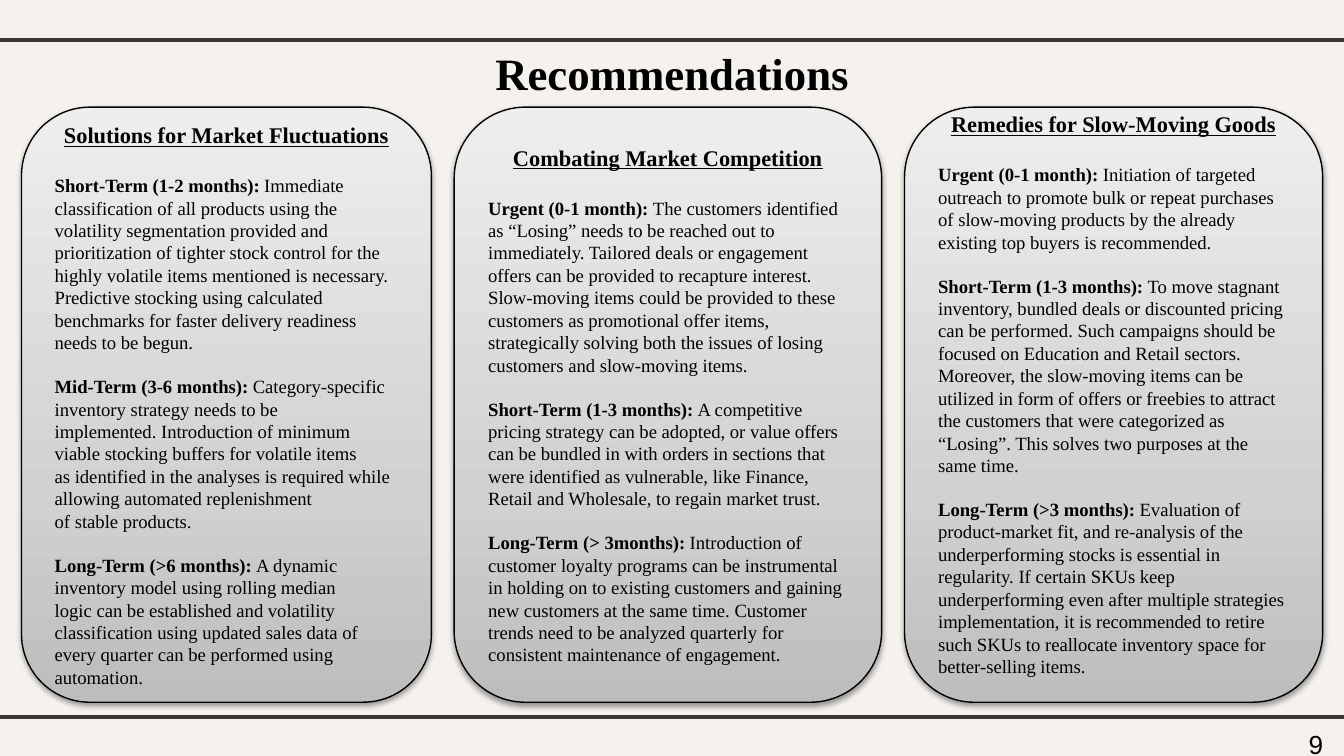
from copy import deepcopy

from lxml import etree
from pptx import Presentation
from pptx.dml.color import RGBColor
from pptx.enum.shapes import MSO_CONNECTOR, MSO_SHAPE
from pptx.enum.text import MSO_ANCHOR, PP_ALIGN
from pptx.oxml import parse_xml
from pptx.oxml.ns import nsdecls, qn
from pptx.util import Pt

LEFT, CENTER = PP_ALIGN.LEFT, PP_ALIGN.CENTER
MIDDLE = MSO_ANCHOR.MIDDLE
ROUNDED = MSO_SHAPE.ROUNDED_RECTANGLE
STRAIGHT = MSO_CONNECTOR.STRAIGHT

BACKGROUND = RGBColor(0xF5, 0xF2, 0xEE)
RULE = RGBColor(0x3F, 0x35, 0x33)
BLACK = RGBColor(0, 0, 0)
CARD_STOPS = [
    (0, RGBColor(0xBD, 0xBD, 0xBD)),
    (0.35, RGBColor(0xD1, 0xD1, 0xD1)),
    (1, RGBColor(0xEE, 0xEE, 0xEE)),
]
SERIF, SANS = "Times New Roman", "Arial"

TITLE = "Recommendations"
PAGE_NUMBER = "9"

# Each card: left, width, bottom inset, heading, [(term, advice)];
# a line end in the advice starts a new paragraph.
CARDS = [
    (11.5, 219.6, 3.6, "Solutions for Market Fluctuations", [
        ("Short-Term (1-2 months): ",
         "Immediate classification of all products using the\n"
         "volatility segmentation provided and prioritization of tighter stock control for the\n"
         "highly volatile items mentioned is necessary. Predictive stocking using calculated\n"
         "benchmarks for faster delivery readiness needs to be begun."),
        ("Mid-Term (3-6 months): ",
         "Category-specific inventory strategy needs to be\n"
         "implemented. Introduction of minimum viable stocking buffers for volatile items\n"
         "as identified in the analyses is required while allowing automated replenishment\n"
         "of stable products."),
        ("Long-Term (>6 months): ",
         "A dynamic inventory model using rolling median\n"
         "logic can be established and volatility classification using updated sales data of\n"
         "every quarter can be performed using automation."),
    ]),
    (243.3, 229, 3.6, "Combating Market Competition", [
        ("Urgent (0-1 month): ",
         "The customers identified as “Losing” needs to be reached out to immediately. "
         "Tailored deals or engagement offers can be provided to recapture interest. "
         "Slow-moving items could be provided to these customers as promotional offer items, "
         "strategically solving both the issues of losing customers and slow-moving items."),
        ("Short-Term (1-3 months): ",
         "A competitive pricing strategy can be adopted, or value offers can be bundled in "
         "with orders in sections that were identified as vulnerable, like Finance, Retail "
         "and Wholesale, to regain market trust."),
        ("Long-Term (> 3months): ",
         "Introduction of customer loyalty programs can be instrumental in holding on to "
         "existing customers and gaining new customers at the same time. Customer trends need "
         "to be analyzed quarterly for consistent maintenance of engagement."),
    ]),
    (484.6, 224, 15.1, "Remedies for Slow-Moving Goods", [
        ("Urgent (0-1 month): ",
         "Initiation of targeted outreach to promote bulk or repeat purchases of slow-moving "
         "products by the already existing top buyers is recommended."),
        ("Short-Term (1-3 months): ",
         "To move stagnant inventory, bundled deals or discounted pricing can be performed. "
         "Such campaigns should be focused on Education and Retail sectors. Moreover, the "
         "slow-moving items can be utilized in form of offers or freebies to attract the "
         "customers that were categorized as “Losing”. This solves two purposes at the same "
         "time."),
        ("Long-Term (>3 months): ",
         "Evaluation of product-market fit, and re-analysis of the underperforming stocks is "
         "essential in regularity. If certain SKUs keep underperforming even after multiple "
         "strategies implementation, it is recommended to retire such SKUs to reallocate "
         "inventory space for better-selling items."),
    ]),
]

PAGE_WIDTH, PAGE_HEIGHT = 720, 405
RULE_TOPS = (21.5, 384)
RULE_OVERHANG = 5.8
CARD_TOP, CARD_HEIGHT = 57.4, 318.8
HEADING_GAP, ADVICE_GAP = 13.8, 11.5  # one line of 12 pt and of 10 pt text


def add_text(paragraph, text, *, size, font=SERIF, bold=False, underline=False,
             align=LEFT, before=0):
    paragraph.alignment = align
    paragraph.space_before = Pt(before)
    run = paragraph.add_run()
    run.text = text
    run.font.name, run.font.size = font, Pt(size)
    run.font.bold, run.font.underline = bold, underline
    run.font.color.rgb = BLACK


def add_label(slide, box, text, **text_format):
    label = slide.shapes.add_textbox(*map(Pt, box))
    label.text_frame.word_wrap = True
    add_text(label.text_frame.paragraphs[0], text, **text_format)


def add_rule(slide, top):
    rule = slide.shapes.add_connector(
        STRAIGHT, Pt(-RULE_OVERHANG), Pt(top), Pt(PAGE_WIDTH + RULE_OVERHANG), Pt(top))
    rule.line.color.rgb = RULE
    rule.line.width = Pt(2.25)
    etree.SubElement(rule._element.spPr, qn("a:effectLst"))


def style_card(card):
    """Give the card its upward gradient, thin outline and soft shadow."""
    card.fill.gradient()
    card.fill.gradient_angle = 90
    stop_list = card._element.spPr.find(qn("a:gradFill")).find(qn("a:gsLst"))
    stop_list.append(deepcopy(stop_list[0]))
    for stop, (position, color) in zip(card.fill.gradient_stops, CARD_STOPS):
        stop.position = position
        stop.color.rgb = color
    card.line.color.rgb = BLACK
    card.line.width = Pt(0.75)
    card._element.spPr.append(parse_xml(
        f'<a:effectLst {nsdecls("a")}>'
        f'<a:outerShdw blurRad="{Pt(3.1)}" dist="{Pt(1.6)}" dir="5400000" rotWithShape="0">'
        '<a:srgbClr val="000000"><a:alpha val="38000"/></a:srgbClr>'
        '</a:outerShdw></a:effectLst>'))


def add_card(slide, left, width, bottom_inset, heading, recommendations):
    card = slide.shapes.add_shape(
        ROUNDED, Pt(left), Pt(CARD_TOP), Pt(width), Pt(CARD_HEIGHT))
    style_card(card)
    frame = card.text_frame
    frame.word_wrap = True
    frame.vertical_anchor = MIDDLE
    frame.margin_bottom = Pt(bottom_inset)
    add_text(frame.paragraphs[0], heading, size=12, bold=True, underline=True, align=CENTER)
    gap = HEADING_GAP
    for term, advice in recommendations:
        first, *others = advice.split("\n")
        opening = frame.add_paragraph()
        add_text(opening, term, size=10, bold=True, before=gap)
        add_text(opening, first, size=10, before=gap)
        for line in others:
            add_text(frame.add_paragraph(), line, size=10)
        gap = ADVICE_GAP


def main():
    deck = Presentation()
    deck.slide_width, deck.slide_height = Pt(PAGE_WIDTH), Pt(PAGE_HEIGHT)
    slide = deck.slides.add_slide(deck.slide_layouts[6])
    slide.background.fill.solid()
    slide.background.fill.fore_color.rgb = BACKGROUND
    for top in RULE_TOPS:
        add_rule(slide, top)
    add_label(slide, (219, 21, 282, 36), TITLE, size=24, bold=True, align=CENTER)
    for card in CARDS:
        add_card(slide, *card)
    add_label(slide, (694, 386.8, 26, 24.2), PAGE_NUMBER, size=14, font=SANS)
    deck.save("out.pptx")


if __name__ == "__main__":
    main()
